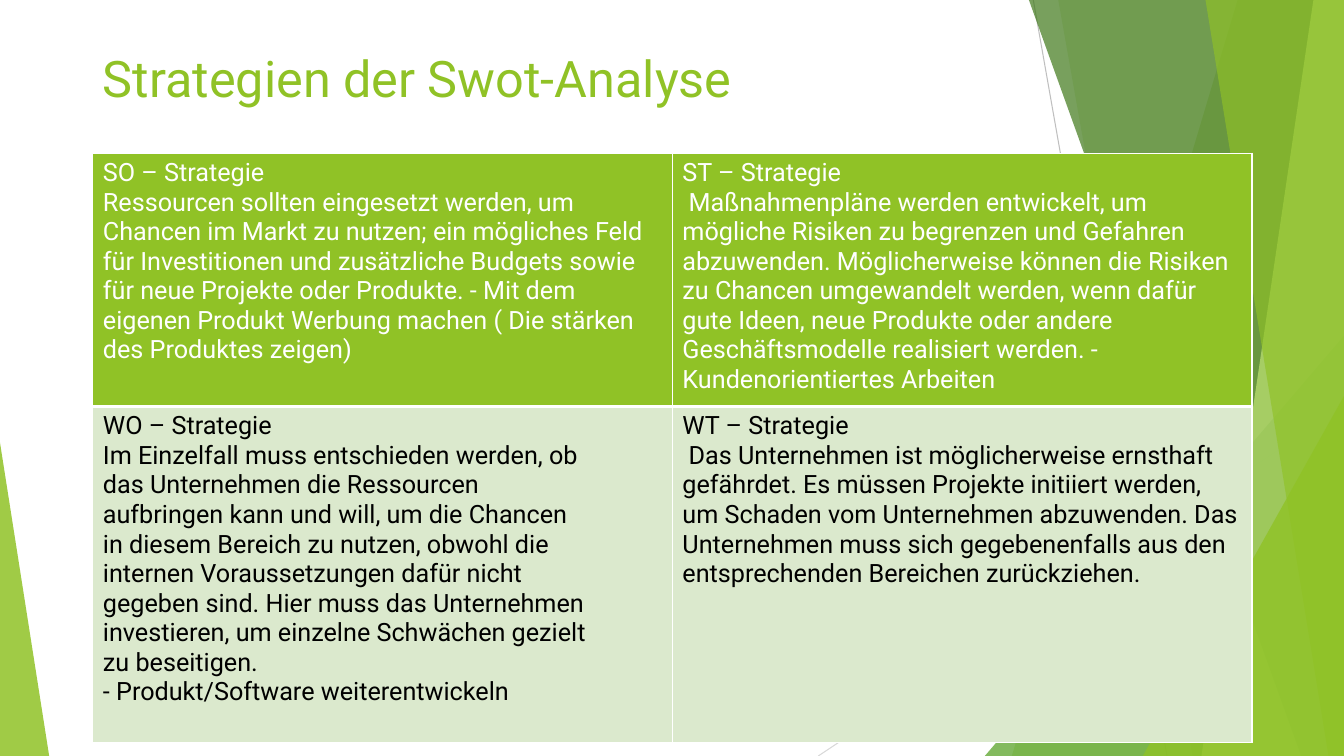
from dataclasses import dataclass

from lxml import etree
from pptx import Presentation
from pptx.dml.color import RGBColor
from pptx.enum.shapes import MSO_CONNECTOR, MSO_SHAPE
from pptx.enum.text import MSO_ANCHOR
from pptx.oxml.ns import qn
from pptx.util import Cm, Pt

STRAIGHT = MSO_CONNECTOR.STRAIGHT
TRIANGLE = MSO_SHAPE.ISOSCELES_TRIANGLE
MIDDLE = MSO_ANCHOR.MIDDLE

PAGE_WIDTH, PAGE_HEIGHT = 33.87, 19.05
FONT = "Roboto"
GREEN, PALE_GREEN = "90C226", "DBE9CD"
WHITE, BLACK = "FFFFFF", "000000"


@dataclass
class Ray:
    """A thin line in the background."""
    start: tuple[float, float]
    end: tuple[float, float]
    color: str


@dataclass
class Band:
    """A full-height area from a slanted left edge to the right page edge."""
    top_x: float
    bottom_x: float
    color: str
    opacity: int


@dataclass
class Corner:
    """A right-angled triangle standing on the bottom page edge."""
    left: float
    top: float
    width: float
    apex: float
    color: str
    opacity: int


@dataclass
class Strategy:
    """One table cell."""
    row: int
    column: int
    lines: list[str]


RAYS = [
    Ray((26.04, 0), (29.41, PAGE_HEIGHT), "BFBFBF"),
    Ray((PAGE_WIDTH, 10.24), (20.62, PAGE_HEIGHT), "D9D9D9"),
]
FACETS = [
    Band(31.19, 25.5, GREEN, 30),
    Band(26.67, 30.05, GREEN, 20),
    Corner(24.82, 8.46, 9.05, 1, "54A021", 72),
    Band(25.93, 32.79, "3F7819", 70),
    Band(33.1, 30.28, "C0E474", 70),
    Band(30.38, 33.48, GREEN, 65),
    Corner(28.8, 9.98, 5.07, 1, GREEN, 80),
    Corner(0, 11.15, 1.24, 0, GREEN, 85),
]
ROW_HEIGHTS = [6.38, 8.46]
ROW_COLORS = [(GREEN, WHITE), (PALE_GREEN, BLACK)]
STRATEGIES = [
    Strategy(0, 0, [
        "SO – Strategie",
        "Ressourcen sollten eingesetzt werden, um Chancen im Markt zu nutzen; "
        "ein mögliches Feld für Investitionen und zusätzliche Budgets sowie "
        "für neue Projekte oder Produkte. - Mit dem eigenen Produkt Werbung "
        "machen ( Die stärken des Produktes zeigen)",
    ]),
    Strategy(0, 1, [
        "ST – Strategie",
        " Maßnahmenpläne werden entwickelt, um mögliche Risiken zu begrenzen "
        "und Gefahren abzuwenden. Möglicherweise können die Risiken zu Chancen "
        "umgewandelt werden, wenn dafür gute Ideen, neue Produkte oder andere "
        "Geschäftsmodelle realisiert werden. - Kundenorientiertes Arbeiten",
    ]),
    Strategy(1, 0, [
        "WO – Strategie",
        "Im Einzelfall muss entschieden werden, ob",
        "das Unternehmen die Ressourcen",
        "aufbringen kann und will, um die Chancen",
        "in diesem Bereich zu nutzen, obwohl die",
        "internen Voraussetzungen dafür nicht",
        "gegeben sind. Hier muss das Unternehmen",
        "investieren, um einzelne Schwächen gezielt",
        "zu beseitigen.",
        "- Produkt/Software weiterentwickeln",
    ]),
    Strategy(1, 1, [
        "WT – Strategie",
        " Das Unternehmen ist möglicherweise ernsthaft gefährdet. Es müssen "
        "Projekte initiiert werden, um Schaden vom Unternehmen abzuwenden. Das "
        "Unternehmen muss sich gegebenenfalls aus den entsprechenden Bereichen "
        "zurückziehen.",
    ]),
]


def rgb(color: str) -> RGBColor:
    return RGBColor.from_string(color)


def format_text(frame, size: int, color: str) -> None:
    for para in frame.paragraphs:
        for span in para.runs:
            span.font.name = FONT
            span.font.size = Pt(size)
            span.font.color.rgb = rgb(color)


def draw_ray(page, ray: Ray) -> None:
    line = page.shapes.add_connector(
        STRAIGHT, *(Cm(value) for value in ray.start + ray.end))
    line.line.color.rgb = rgb(ray.color)
    line.line.width = Pt(0.75)
    etree.SubElement(line._element.spPr, qn("a:effectLst"))


def draw_facet(page, facet: Band | Corner) -> None:
    if isinstance(facet, Band):
        builder = page.shapes.build_freeform(Cm(facet.top_x), 0)
        builder.add_line_segments([
            (Cm(PAGE_WIDTH), 0),
            (Cm(PAGE_WIDTH), Cm(PAGE_HEIGHT)),
            (Cm(facet.bottom_x), Cm(PAGE_HEIGHT)),
        ], close=True)
        shape = builder.convert_to_shape()
    else:
        shape = page.shapes.add_shape(
            TRIANGLE, Cm(facet.left), Cm(facet.top),
            Cm(facet.width), Cm(PAGE_HEIGHT - facet.top))
        shape.adjustments[0] = facet.apex
    shape.shadow.inherit = False
    shape.line.fill.background()
    shape.fill.solid()
    shape.fill.fore_color.rgb = rgb(facet.color)
    color_node = shape._element.spPr.find(qn("a:solidFill"))[0]
    etree.SubElement(color_node, qn("a:alpha"), val=str(facet.opacity * 1000))


def draw_title(page, text: str) -> None:
    box = page.shapes.add_textbox(Cm(2.34), Cm(1.02), Cm(29.21), Cm(2.06))
    frame = box.text_frame
    frame.word_wrap = True
    frame.vertical_anchor = MIDDLE
    frame.text = text
    frame.paragraphs[0].line_spacing = 0.9
    format_text(frame, 36, GREEN)


def add_borders(cell, row: int) -> None:
    # The line between the two rows is thicker than the others
    divider = "B" if row == 0 else "T"
    properties = cell._tc.get_or_add_tcPr()
    for side in "LRTB":
        width = Pt(3 if side == divider else 1)
        border = etree.SubElement(properties, qn(f"a:ln{side}"), w=str(width))
        fill = etree.SubElement(border, qn("a:solidFill"))
        etree.SubElement(fill, qn("a:srgbClr"), val=WHITE)


def draw_table(page) -> None:
    table = page.shapes.add_table(
        2, 2, Cm(2.34), Cm(3.86), Cm(29.21), Cm(sum(ROW_HEIGHTS))).table
    table.first_row = False
    table.horz_banding = False
    for row, height in zip(table.rows, ROW_HEIGHTS):
        row.height = Cm(height)
    for strategy in STRATEGIES:
        fill_color, text_color = ROW_COLORS[strategy.row]
        cell = table.cell(strategy.row, strategy.column)
        add_borders(cell, strategy.row)
        cell.fill.solid()
        cell.fill.fore_color.rgb = rgb(fill_color)
        cell.text_frame.text = "\n".join(strategy.lines)
        format_text(cell.text_frame, 18, text_color)


def main() -> None:
    deck = Presentation()
    deck.slide_width, deck.slide_height = Cm(PAGE_WIDTH), Cm(PAGE_HEIGHT)
    page = deck.slides.add_slide(deck.slide_layouts[6])
    # Background
    for ray in RAYS:
        draw_ray(page, ray)
    for facet in FACETS:
        draw_facet(page, facet)
    # Content
    draw_title(page, "Strategien der Swot-Analyse")
    draw_table(page)
    deck.save("out.pptx")


if __name__ == "__main__":
    main()
